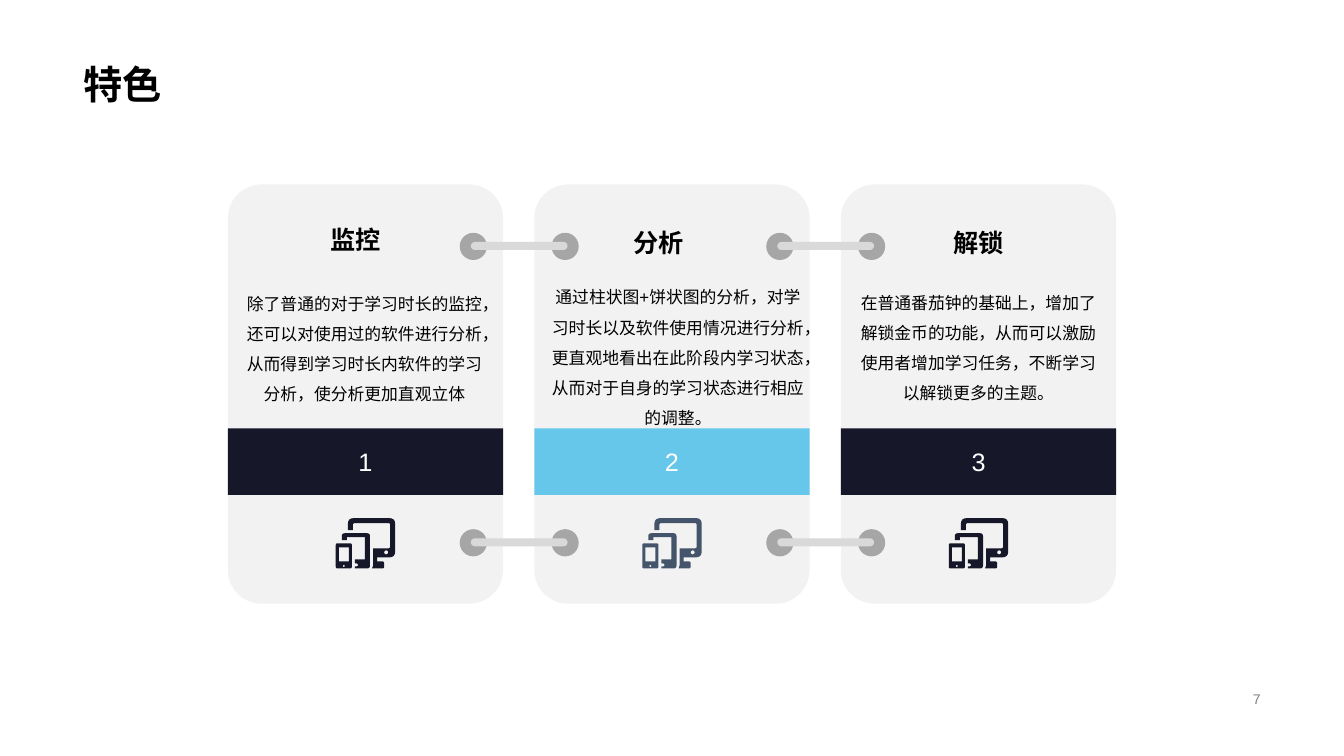
from dataclasses import dataclass
from math import cos, pi, sin

from pptx import Presentation
from pptx.dml.color import RGBColor
from pptx.enum.shapes import MSO_SHAPE
from pptx.enum.text import MSO_ANCHOR, PP_ALIGN
from pptx.util import Inches, Pt


@dataclass(frozen=True)
class Theme:
    """Colours, type sizes and the grid shared by the whole slide."""
    font: str = "Arial"
    ink: str = "000000"
    muted: str = "808080"
    white: str = "FFFFFF"
    card: str = "F2F2F2"
    navy: str = "161729"
    sky: str = "66C7EA"
    slate: str = "44546A"
    ring: str = "A6A6A6"
    link: str = "D9D9D9"
    title_size: int = 28
    heading_size: int = 18
    body_size: int = 12
    page_size: int = 10
    cell: int = Inches(0.1)


# Icon corners as (x, y, rounding), in tenths of a grid cell
PHONE = [(0, 25, 2), (16, 25, 2), (16, 50, 2), (0, 50, 2)]
PHONE_SCREEN = [(3, 29, 0), (13, 29, 0), (13, 43, 0), (3, 43, 0)]
TABLET = [(6, 15, 3), (34, 15, 3), (34, 50, 3), (19, 50, 0), (19, 48, 0),
          (22, 48, 2), (22, 45, 2), (19, 45, 0), (19, 41, 0), (29, 41, 0),
          (29, 19, 0), (11, 19, 0), (11, 22, 0), (6, 22, 0)]
MONITOR = [(12, 0, 6), (59, 0, 6), (59, 39, 6), (41, 39, 0), (41, 43, 0),
           (48, 43, 2), (48, 50, 2), (36, 50, 0), (37, 47, 0), (37, 30, 0),
           (54, 30, 2), (54, 5, 2), (17, 5, 2), (17, 12, 0), (12, 12, 0)]


def dot(x, y, radius):
    """Return the points of a small circle."""
    return [(x + radius * cos(step * pi / 8), y + radius * sin(step * pi / 8))
            for step in range(16)]


def toward(corner, neighbour, distance):
    """Return the point a given distance from a corner along its edge."""
    dx, dy = neighbour[0] - corner[0], neighbour[1] - corner[1]
    share = min(0.5, distance / (dx * dx + dy * dy) ** 0.5)
    return corner[0] + dx * share, corner[1] + dy * share


def rounded(corners):
    """Return an outline whose corners are softened by their rounding."""
    outline = []
    for index, corner in enumerate(corners):
        x, y, radius = corner
        if not radius:
            outline.append((x, y))
            continue
        start = toward(corner, corners[index - 1], radius)
        end = toward(corner, corners[(index + 1) % len(corners)], radius)
        for t in (0, 0.25, 0.5, 0.75, 1):
            a, b, c = (1 - t) ** 2, 2 * t * (1 - t), t * t
            outline.append((a * start[0] + b * x + c * end[0],
                            a * start[1] + b * y + c * end[1]))
    return outline


class SlideBuilder:
    """Draws styled elements on one slide, with lengths in grid cells."""

    def __init__(self, slide, theme):
        """Keep the slide and its style."""
        self.slide, self.theme = slide, theme

    def grid(self, *cells):
        """Turn grid cells into slide lengths."""
        return [round(cell * self.theme.cell) for cell in cells]

    def typeset(self, frame, words, size, color, align, anchor, bold=False, spacing=None):
        """Fill a text frame with one styled paragraph."""
        frame.word_wrap = True
        frame.vertical_anchor = anchor
        paragraph = frame.paragraphs[0]
        paragraph.text = words
        paragraph.alignment = align
        paragraph.line_spacing = spacing
        font = paragraph.font
        font.name, font.size, font.bold = self.theme.font, Pt(size), bold
        font.color.rgb = RGBColor.from_string(color)

    def text(self, box, words, size, color=None, align=PP_ALIGN.CENTER,
             anchor=MSO_ANCHOR.TOP, **style):
        """Add a text box."""
        frame = self.slide.shapes.add_textbox(*self.grid(*box)).text_frame
        self.typeset(frame, words, size, color or self.theme.ink, align, anchor, **style)

    def paint(self, shape, color):
        """Give a shape a flat fill without line or shadow."""
        shape.shadow.inherit = False
        shape.fill.solid()
        shape.fill.fore_color.rgb = RGBColor.from_string(color)
        shape.line.fill.background()

    def shape(self, kind, box, color, corner=None):
        """Add a flat preset shape."""
        shape = self.slide.shapes.add_shape(kind, *self.grid(*box))
        self.paint(shape, color)
        if corner is not None:
            shape.adjustments[0] = corner
        return shape

    def band(self, box, color, number):
        """Add a numbered colour band."""
        band = self.shape(MSO_SHAPE.RECTANGLE, box, color)
        self.typeset(band.text_frame, number, self.theme.heading_size, self.theme.white,
                     PP_ALIGN.CENTER, MSO_ANCHOR.MIDDLE)

    def devices(self, left, top, color):
        """Add the phone, tablet and monitor icon as one outline."""
        outlines = [rounded(part) for part in (PHONE, PHONE_SCREEN, TABLET, MONITOR)]
        outlines += [dot(8, 47.5, 1), dot(50, 34, 2)]
        fine = [[(x * 10, y * 10) for x, y in outline] for outline in outlines]
        builder = self.slide.shapes.build_freeform(*fine[0][0], scale=self.theme.cell / 100)
        builder.add_line_segments(fine[0][1:], close=True)
        for outline in fine[1:]:
            builder.move_to(*outline[0])
            builder.add_line_segments(outline[1:], close=True)
        self.paint(builder.convert_to_shape(*self.grid(left, top)), color)

    def link(self, left, top):
        """Add a bar joining two rings across a gap between cards."""
        for ring_left in (left, left + 9.1):
            self.shape(MSO_SHAPE.OVAL, (ring_left, top, 2.7, 2.7), self.theme.ring)
        self.shape(MSO_SHAPE.ROUNDED_RECTANGLE, (left + 1.1, top + 0.9, 9.6, 0.8),
                   self.theme.link, 0.5)


def main():
    """Build the feature slide."""
    theme = Theme()
    deck = Presentation()
    deck.slide_width, deck.slide_height = Inches(13.33), Inches(7.5)
    page = SlideBuilder(deck.slides.add_slide(deck.slide_layouts[6]), theme)

    page.text((7.3, 0, 118.7, 11.2), "特色", theme.title_size, align=PP_ALIGN.LEFT,
              anchor=MSO_ANCHOR.BOTTOM, bold=True, spacing=0.9)
    page.text((94.2, 68.2, 31.8, 2.3), "7", theme.page_size, theme.muted,
              PP_ALIGN.RIGHT, MSO_ANCHOR.MIDDLE)

    first_left, pitch, card_width = 22.6, 30.4, 27.3
    # heading, its left and top, body, its box, band colour, icon colour
    features = [
        ("监控", (21.6, 21.8),
         "除了普通的对于学习时长的监控，还可以对使用过的软件进行分析，"
         "从而得到学习时长内软件的学习分析，使分析更加直观立体",
         (23.4, 27.6, 25.5, 13.1), theme.navy, theme.navy),
        ("分析", (51.7, 22.1),
         "通过柱状图+饼状图的分析，对学习时长以及软件使用情况进行分析，"
         "更直观地看出在此阶段内学习状态，从而对于自身的学习状态进行相应的调整。",
         (53.6, 27, 27.3, 15.2), theme.sky, theme.slate),
        ("解锁", (83.4, 22.1),
         "在普通番茄钟的基础上，增加了解锁金币的功能，从而可以"
         "激励使用者增加学习任务，不断学习以解锁更多的主题。",
         (84.4, 27.5, 25.3, 15.8), theme.navy, theme.navy),
    ]
    for index, (heading, place, body, body_box, band, icon) in enumerate(features):
        left = first_left + index * pitch
        page.shape(MSO_SHAPE.ROUNDED_RECTANGLE, (left, 18.3, card_width, 41.6),
                   theme.card, 0.123)
        page.band((left, 42.5, card_width, 6.6), band, str(index + 1))
        page.devices(left + 10.7, 51.4, icon)
        page.text((*place, card_width, 4.5), heading, theme.heading_size, bold=True)
        page.text(body_box, body, theme.body_size, spacing=1.5)

    for gap in range(len(features) - 1):
        for top in (23.1, 52.5):
            page.link(first_left + 23 + gap * pitch, top)

    deck.save("out.pptx")


main()
